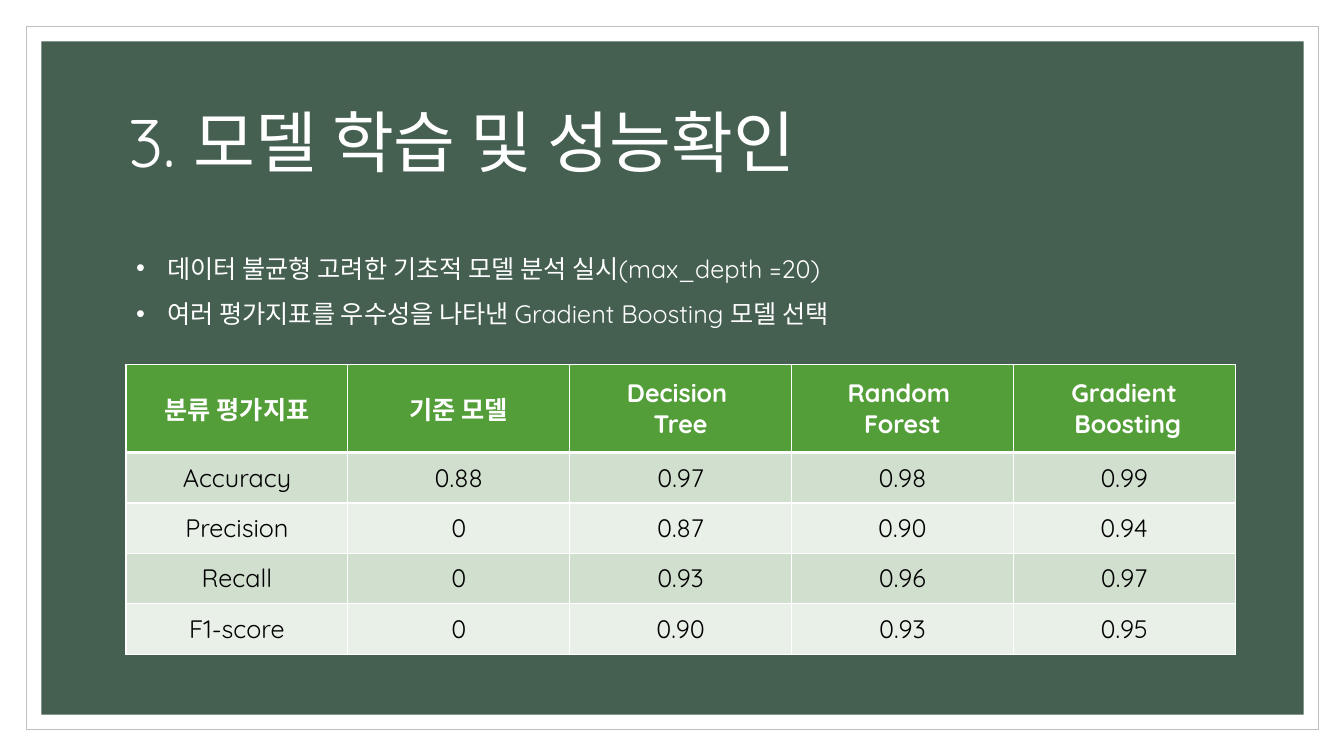
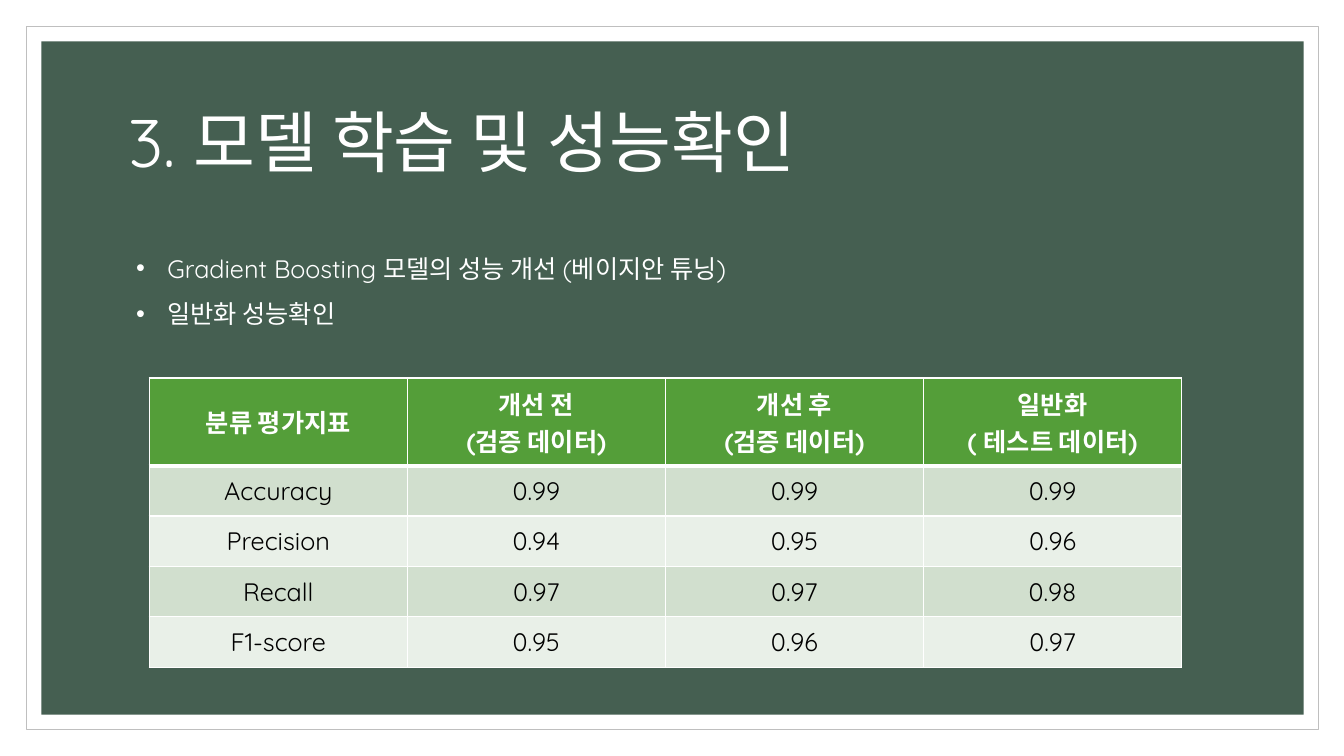
from lxml import etree
from pptx import Presentation
from pptx import util as u
from pptx.dml.color import RGBColor
from pptx.enum import shapes, text
from pptx.oxml.ns import qn

EMU_PER_PX = 9144
FONT = "Quicksand"
COLORS = {
    "white": "FFFFFF",
    "black": "000000",
    "frame": "BFBFBF",
    "panel": "455F51",
    "header": "549E39",
    "odd": "D1DFCE",
    "even": "E9F0E8",
}


def px(*lengths):
    return [u.Emu(length * EMU_PER_PX) for length in lengths]


def color(name):
    return RGBColor.from_string(COLORS[name])


def write_text(frame, lines, size=18, ink="white", bold=False, spacing=1.0,
               align=text.PP_ALIGN.LEFT, anchor=text.MSO_ANCHOR.TOP, bullet=None):
    frame.vertical_anchor = anchor
    for index, line in enumerate(lines):
        paragraph = frame.add_paragraph() if index else frame.paragraphs[0]
        paragraph.alignment = align
        paragraph.line_spacing = spacing
        paragraph.space_before = u.Pt(0)
        if bullet:
            properties = paragraph._p.get_or_add_pPr()
            indent, = px(31)
            properties.set("marL", str(indent))
            properties.set("indent", str(-indent))
            etree.SubElement(properties, qn("a:buFont"), typeface="Arial")
            etree.SubElement(properties, qn("a:buChar"), char=bullet)
        span = paragraph.add_run()
        span.text = line
        span.font.name = FONT
        span.font.size = u.Pt(size)
        span.font.bold = bold
        span.font.color.rgb = color(ink)


def add_borders(cell, top=1, bottom=1):
    properties = cell._tc.get_or_add_tcPr()
    for side, points in (("L", 1), ("R", 1), ("T", top), ("B", bottom)):
        line = etree.SubElement(properties, qn(f"a:ln{side}"), w=str(u.Pt(points)))
        fill = etree.SubElement(line, qn("a:solidFill"))
        etree.SubElement(fill, qn("a:srgbClr"), val=COLORS["white"])


class SlideBuilder:
    """Hold the deck style and the current slide."""

    def __init__(self):
        self.deck = Presentation()
        self.deck.slide_width, self.deck.slide_height = px(1333, 750)
        self.page = None

    def start_page(self, title):
        self.page = self.deck.slides.add_slide(self.deck.slide_layouts[1])
        self.add_panel(26, 26, 1282, 698, "white", line="frame")
        self.add_panel(41, 41, 1252, 668, "panel")
        box = self.page.shapes.title
        box.left, box.top, box.width, box.height = px(117, 70, 1100, 150)
        box.text_frame.auto_size = text.MSO_AUTO_SIZE.NONE
        write_text(box.text_frame, [title], size=48, spacing=0.9,
                   anchor=text.MSO_ANCHOR.MIDDLE)

    def add_panel(self, left, top, width, height, fill, line=None):
        box = self.page.shapes.add_shape(
            shapes.MSO_SHAPE.RECTANGLE, *px(left, top, width, height))
        box.shadow.inherit = False
        box.fill.solid()
        box.fill.fore_color.rgb = color(fill)
        if line:
            box.line.color.rgb = color(line)
            box.line.width = u.Pt(0.5)
        else:
            box.line.fill.background()
        self.page.shapes.title.element.addprevious(box.element)

    def add_list(self, lines):
        box = self.page.placeholders[1]
        box.left, box.top, box.width, box.height = px(125, 231, 1092, 95)
        box.text_frame.auto_size = text.MSO_AUTO_SIZE.SHAPE_TO_FIT_TEXT
        write_text(box.text_frame, lines, spacing=1.5, bullet="•")

    def add_table(self, left, top, column_width, rows):
        heights = [87] + [50] * (len(rows) - 1)
        columns = len(rows[0])
        table = self.page.shapes.add_table(
            len(rows), columns,
            *px(left, top, column_width * columns, sum(heights))).table
        table.horz_banding = False
        for column in table.columns:
            column.width, = px(column_width)
        for index, values in enumerate(rows):
            table.rows[index].height, = px(heights[index])
            is_header = index == 0
            fill = "header" if is_header else "odd" if index % 2 else "even"
            for cell, value in zip(table.rows[index].cells, values):
                add_borders(cell, top=3 if index == 1 else 1,
                            bottom=3 if is_header else 1)
                cell.fill.solid()
                cell.fill.fore_color.rgb = color(fill)
                write_text(cell.text_frame, value.split("\n"), bold=is_header,
                           ink="white" if is_header else "black",
                           align=text.PP_ALIGN.CENTER)
                cell.vertical_anchor = text.MSO_ANCHOR.MIDDLE


def main():
    title = "3. 모델 학습 및 성능확인"
    builder = SlideBuilder()

    builder.start_page(title)
    builder.add_list([
        "데이터 불균형 고려한 기초적 모델 분석 실시(max_depth =20)",
        "여러 평가지표를 우수성을 나타낸 Gradient Boosting 모델 선택",
    ])
    builder.add_table(125, 362, 220, [
        ["분류 평가지표", "기준 모델", "Decision \nTree", "Random \nForest",
         "Gradient\n Boosting"],
        ["Accuracy", "0.88", "0.97", "0.98", "0.99"],
        ["Precision", "0", "0.87", "0.90", "0.94"],
        ["Recall", "0", "0.93", "0.96", "0.97"],
        ["F1-score", "0", "0.90", "0.93", "0.95"],
    ])

    builder.start_page(title)
    builder.add_list([
        "Gradient Boosting 모델의 성능 개선 (베이지안 튜닝)",
        "일반화 성능확인",
    ])
    builder.add_table(148, 375, 256, [
        ["분류 평가지표", "개선 전\n(검증 데이터)", "개선 후\n(검증 데이터)",
         "일반화\n( 테스트 데이터)"],
        ["Accuracy", "0.99", "0.99", "0.99"],
        ["Precision", "0.94", "0.95", "0.96"],
        ["Recall", "0.97", "0.97", "0.98"],
        ["F1-score", "0.95", "0.96", "0.97"],
    ])

    builder.deck.save("out.pptx")


if __name__ == "__main__":
    main()
